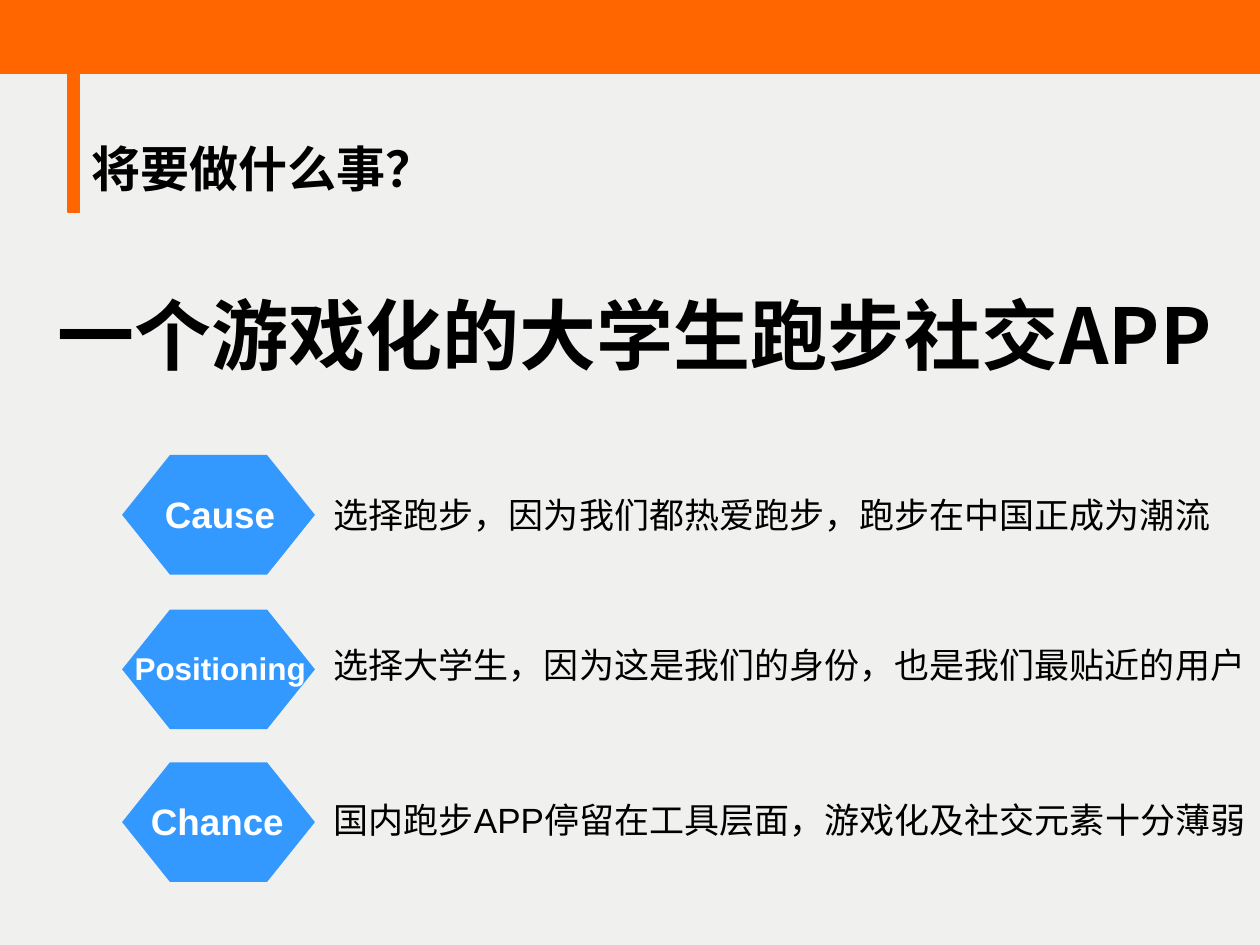
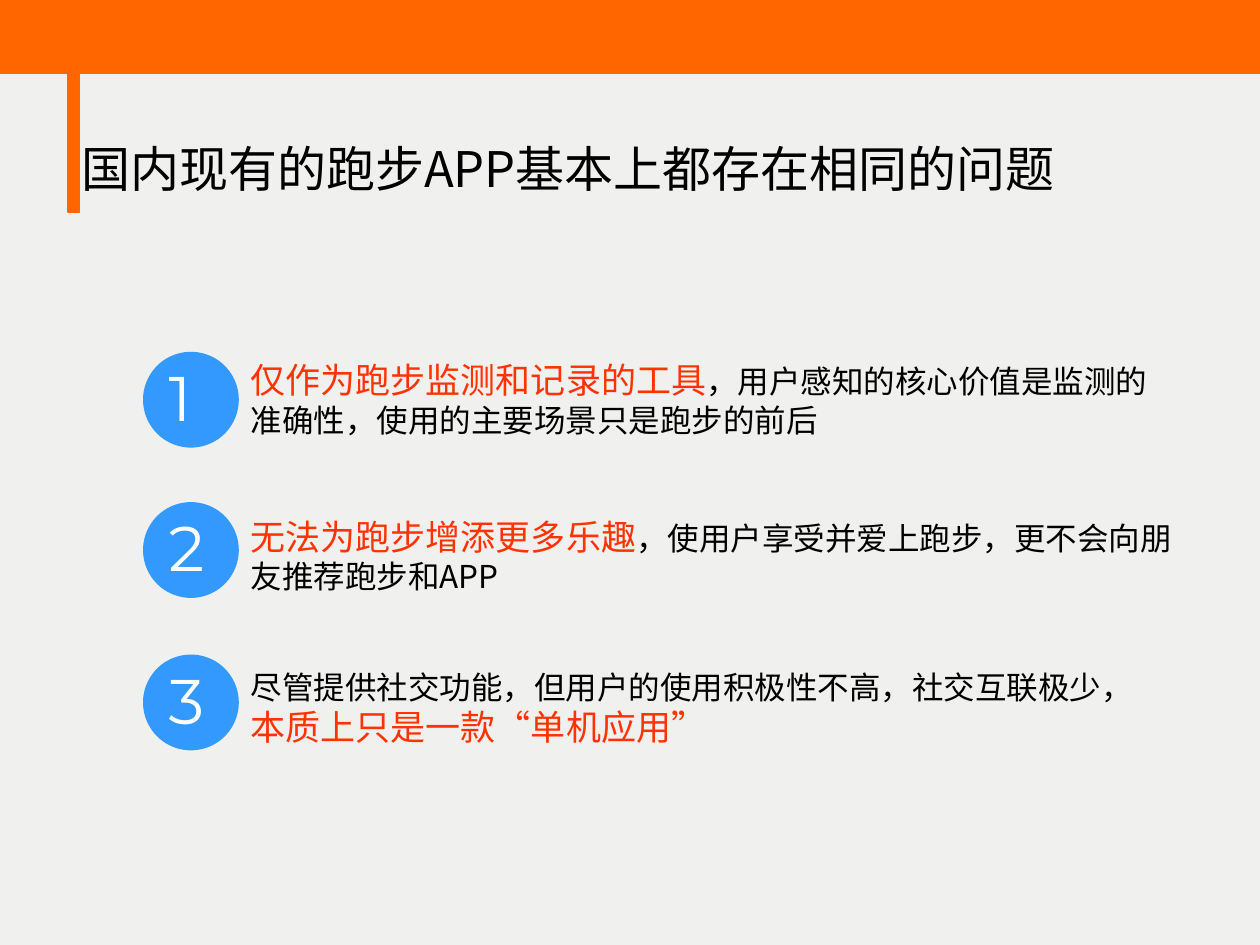
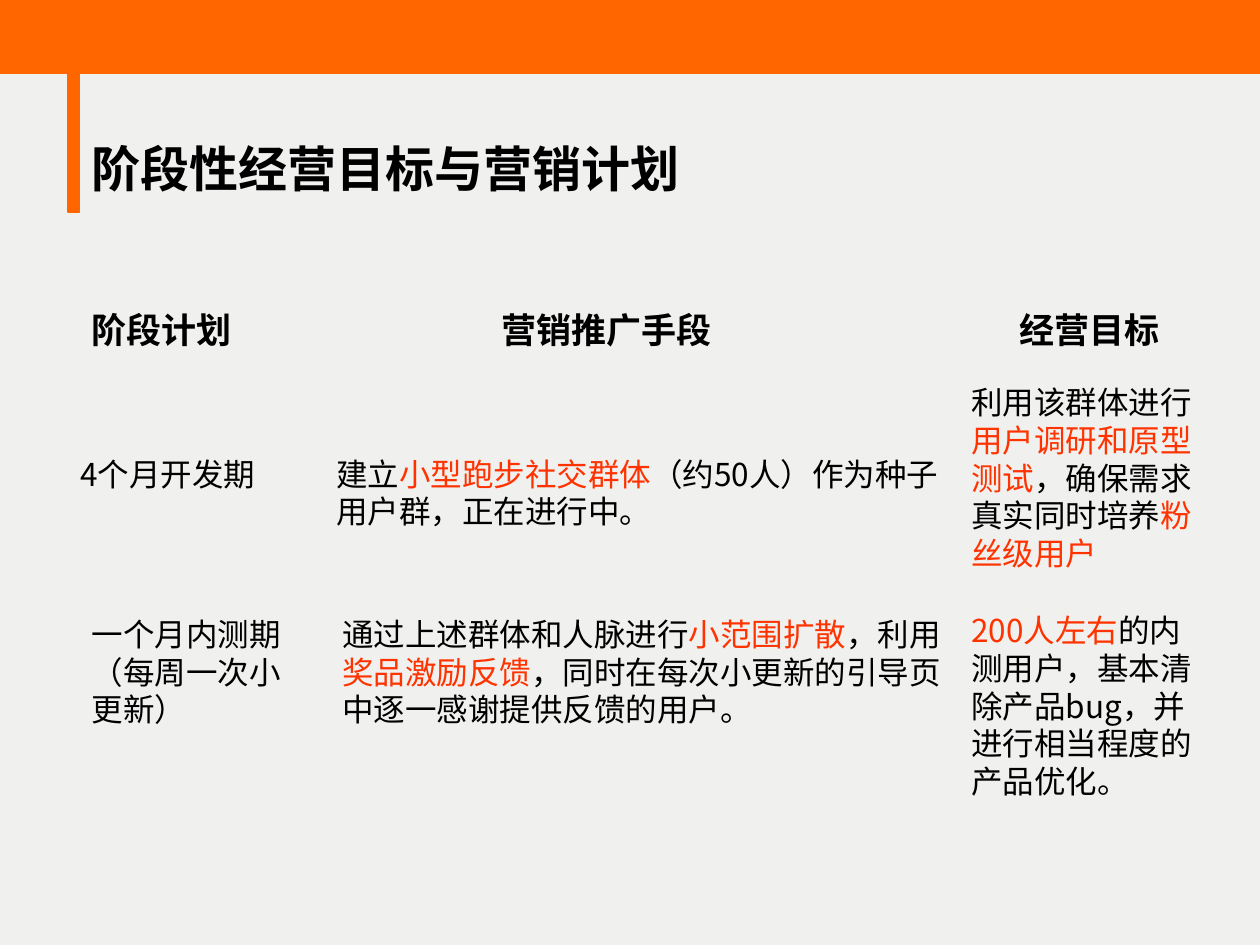
from typing import NamedTuple

from pptx import Presentation
from pptx.dml.color import RGBColor as Rgb
from pptx.enum.shapes import MSO_SHAPE as Form
from pptx.enum.text import MSO_AUTO_SIZE as Fit
from pptx.oxml.ns import qn
from pptx.util import Pt

ORANGE, BLUE, RED = "FF6600", "3399FF", "FF3300"
BLACK, WHITE, PAPER = "000000", "FFFFFF", "F0F0EF"
ARIAL, NOTO, MONT = "Arial", "Noto Sans CJK SC", "Montserrat"


class Box(NamedTuple):
    left: float
    top: float
    width: float
    height: float


class Cause(NamedTuple):
    top: float
    label: Box
    name: str
    size: float
    body: Box
    text: str


class Issue(NamedTuple):
    top: float
    body: Box
    text: str
    font: str
    wrap: bool


class Cell(NamedTuple):
    box: Box
    text: str
    wrap: bool = True


def color(value: str) -> Rgb:
    return Rgb.from_string(value)


def place(box: Box) -> list:
    return [Pt(side) for side in box]


def add_form(slide, kind, box: Box, fill: str, line: bool = True):
    """Draw a flat shape, outlined in its own colour or not at all."""
    form = slide.shapes.add_shape(kind, *place(box))
    form.shadow.inherit = False
    form.fill.solid()
    form.fill.fore_color.rgb = color(fill)
    if line:
        form.line.color.rgb = color(fill)
        form.line.width = Pt(0.75)
    else:
        form.line.fill.background()
    return form


def add_text(slide, box: Box, text: str, *, size: float = 18, font: str = NOTO,
             ink: str = BLACK, bold: bool = False, wrap: bool = True,
             hot: float = 0) -> None:
    """Write text; each |part| is red, at the size hot when given."""
    frame = slide.shapes.add_textbox(*place(box)).text_frame
    frame.word_wrap = wrap
    frame.auto_size = Fit.SHAPE_TO_FIT_TEXT
    for row, line in enumerate(text.split("\n")):
        para = frame.add_paragraph() if row else frame.paragraphs[0]
        for part, words in enumerate(line.split("|")):
            if not words:
                continue
            red = part % 2 == 1
            run = para.add_run()
            run.text = words
            face = run.font
            face.name, face.bold = font, bold
            face.size = Pt(hot if red and hot else size)
            face.color.rgb = color(RED if red else ink)
            asian = face._element.makeelement(qn("a:ea"), {"typeface": NOTO})
            face._element.find(qn("a:latin")).addnext(asian)


def add_slide(deck, title: str, box: Box, font: str = ARIAL, bold: bool = True):
    """Start a slide with its background, band, bar and title."""
    slide = deck.slides.add_slide(deck.slide_layouts[6])
    back = slide.background.fill
    back.solid()
    back.fore_color.rgb = color(PAPER)
    add_form(slide, Form.RECTANGLE, Box(0, -3.6, 720.7, 45.4), ORANGE)
    add_form(slide, Form.RECTANGLE, Box(38.9, 19.4, 6.5, 101.8), ORANGE)
    add_text(slide, box, title, size=28, font=font, bold=bold, wrap=False)
    return slide


# Idea and reasons
CAUSES = [
    Cause(260, Box(87.1, 277.2, 95.8, 32.4), "Cause", 21,
          Box(183.6, 278.6, 523.4, 31.7),
          "选择跑步，因为我们都热爱跑步，跑步在中国正成为潮流"),
    Cause(348.3, Box(69.8, 367.2, 113.8, 28.8), "Positioning", 18,
          Box(183.6, 364.3, 537.8, 31.7),
          "选择大学生，因为这是我们的身份，也是我们最贴近的用户"),
    Cause(435.6, Box(79.2, 452.9, 95.8, 32.4), "Chance", 21,
          Box(183.6, 452.9, 537.8, 55.4),
          "国内跑步APP停留在工具层面，游戏化及社交元素十分薄弱"),
]


def add_idea(deck) -> None:
    slide = add_slide(deck, "将要做什么事？", Box(45.4, 75.6, 214, 41))
    add_text(slide, Box(25.9, 160.6, 688, 60.5), "一个游戏化的大学生跑步社交APP",
             size=44, bold=True, wrap=False)
    for cause in CAUSES:
        hexa = add_form(slide, Form.HEXAGON, Box(69.8, cause.top, 110.2, 68.4),
                        BLUE, line=False)
        hexa.adjustments[0] = 0.4
        add_text(slide, cause.label, cause.name, size=cause.size, font=ARIAL,
                 ink=WHITE, bold=True)
        add_text(slide, cause.body, cause.text, size=20, font=ARIAL)


# Numbered issues
ISSUES = [
    Issue(201.4, Box(136.1, 201.6, 533.5, 74.9),
          "|仅作为跑步监测和记录的工具|，用户感知的核心价值是监测的"
          "准确性，使用的主要场景只是跑步的前后", ARIAL, True),
    Issue(287.3, Box(136.1, 290.9, 544, 53.3),
          "|无法为跑步增添更多乐趣|，使用户享受并爱上跑步，更不会向朋\n"
          "友推荐跑步和APP", NOTO, False),
    Issue(374.4, Box(136.1, 378, 522, 53.3),
          "尽管提供社交功能，但用户的使用积极性不高，社交互联极少，\n"
          "|本质上只是一款“单机应用”|", NOTO, False),
]


def add_issues(deck) -> None:
    slide = add_slide(deck, "国内现有的跑步APP基本上都存在相同的问题",
                      Box(39.6, 75.6, 588, 41), NOTO, False)
    for rank, issue in enumerate(ISSUES, 1):
        add_form(slide, Form.OVAL, Box(82.1, issue.top, 54, 54), BLUE)
        add_text(slide, Box(89.3, issue.top, 45.4, 50.4), str(rank), size=36,
                 font=MONT, ink=WHITE)
        add_text(slide, issue.body, issue.text, font=issue.font,
                 wrap=issue.wrap, hot=20)


# Stage plan
HEADS = [
    Cell(Box(45.4, 172.8, 151.2, 31.7), "阶段计划"),
    Cell(Box(279.4, 172.8, 180.7, 31.7), "营销推广手段"),
    Cell(Box(575.3, 172.8, 98, 31.7), "经营目标", False),
]
CELLS = [
    Cell(Box(38.9, 256.3, 123.8, 28.8), "4个月开发期"),
    Cell(Box(185, 256.3, 371, 50.4),
         "建立|小型跑步社交群体|（约50人）作为种子\n用户群，正在进行中。", False),
    Cell(Box(547.9, 215.3, 151.2, 136.8),
         "利用该群体进行|用户调研和原型测试|，确保需求真实同时培养|粉丝级用户|"),
    Cell(Box(45.4, 347.8, 123.1, 72), "一个月内测期（每周一次小更新）"),
    Cell(Box(188.6, 347.8, 357.8, 93.6),
         "通过上述群体和人脉进行|小范围扩散|，利用|奖品激励反馈|，"
         "同时在每次小更新的引导页中逐一感谢提供反馈的用户。"),
    Cell(Box(547.9, 345.6, 151.2, 115.2),
         "|200人左右|的内测用户，基本清除产品bug，并进行相当程度的产品优化。"),
]


def add_plan(deck) -> None:
    slide = add_slide(deck, "阶段性经营目标与营销计划", Box(45.4, 75.6, 354, 41))
    for head in HEADS:
        add_text(slide, head.box, head.text, size=20, bold=True, wrap=head.wrap)
    for cell in CELLS:
        add_text(slide, cell.box, cell.text, wrap=cell.wrap)


def main() -> None:
    deck = Presentation()
    deck.slide_width, deck.slide_height = Pt(720), Pt(540)
    add_idea(deck)
    add_issues(deck)
    add_plan(deck)
    deck.save("out.pptx")


if __name__ == "__main__":
    main()
